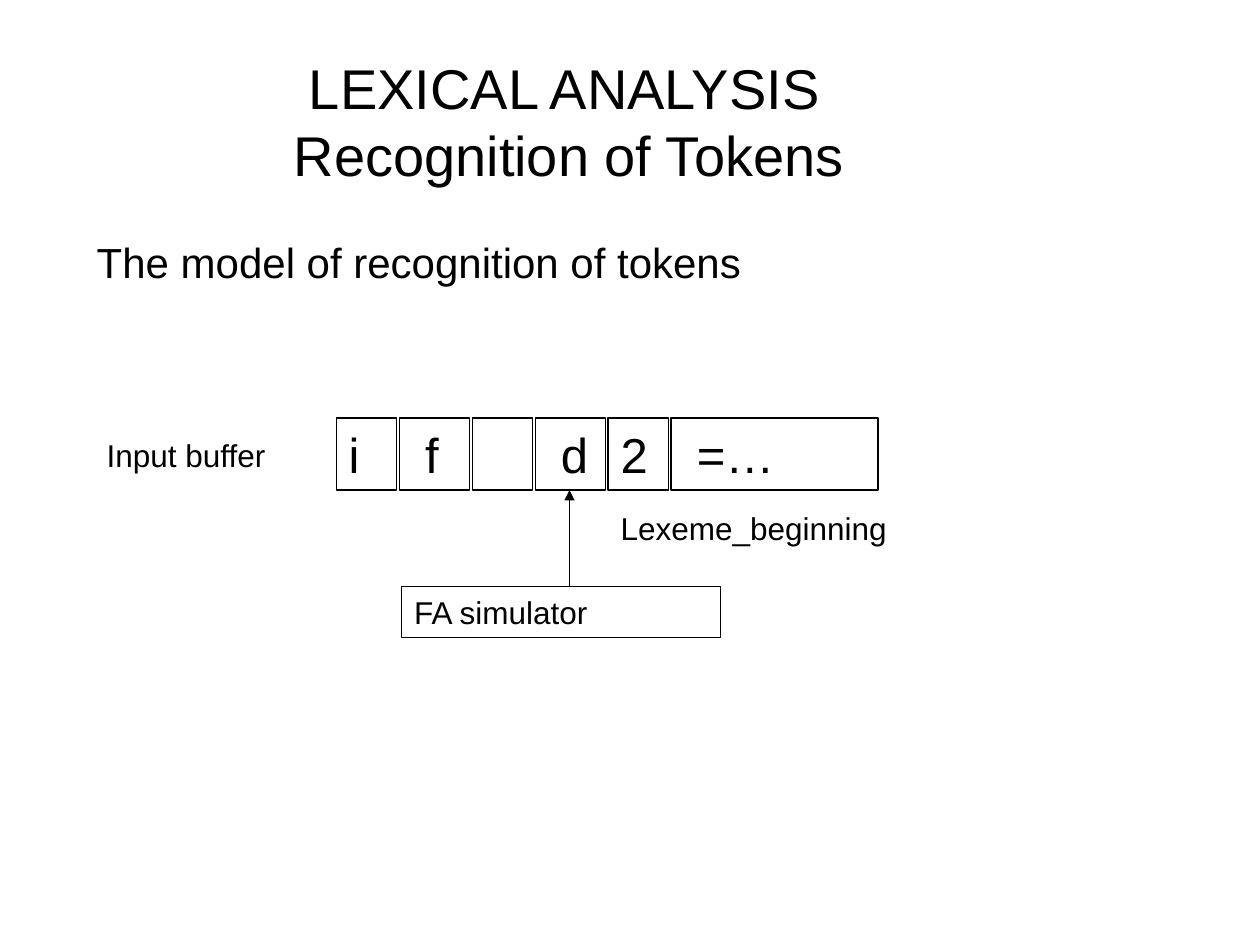
from lxml import etree
from pptx import Presentation
from pptx.dml.color import RGBColor
from pptx.enum.shapes import MSO_CONNECTOR, MSO_SHAPE
from pptx.enum.text import MSO_ANCHOR, PP_ALIGN
from pptx.oxml.ns import qn
from pptx.util import Cm, Pt

RECTANGLE = MSO_SHAPE.RECTANGLE
STRAIGHT = MSO_CONNECTOR.STRAIGHT
TOP, MIDDLE = MSO_ANCHOR.TOP, MSO_ANCHOR.MIDDLE
LEFT = PP_ALIGN.LEFT

FONT = "Arial"
COLORS = {"ink": "000000", "paper": "FFFFFF"}
INK = RGBColor.from_string(COLORS["ink"])
LINE_WIDTH = Pt(0.75)

# Text, width and first-line indent of each buffer cell, in cm
CELLS = [
    ("i", 1.22, 0),
    ("f", 1.42, 0.27),
    ("", 1.22, 0),
    ("d", 1.42, 0.27),
    ("2", 1.22, 0),
    ("=…", 4.17, 0.27),
]
CELL_GAP = 0.05
CELL_HEIGHT = 1.45
LABEL_HEIGHT = 1.02


def write(box, text, size, margin=0, indent=0, anchor=TOP):
    frame = box.text_frame
    frame.word_wrap = True
    frame.vertical_anchor = anchor
    para = frame.paragraphs[0]
    para.text = text
    para.alignment = LEFT
    properties = para._p.get_or_add_pPr()
    properties.set("marL", str(Cm(margin)))
    properties.set("indent", str(Cm(indent)))
    para.font.name = FONT
    para.font.size = Pt(size)
    para.font.color.rgb = INK


def add_label(page, left, top, width, height, text, size, **layout):
    box = page.shapes.add_textbox(Cm(left), Cm(top), Cm(width), Cm(height))
    write(box, text, size, **layout)


def add_frame(page, left, top, width, height, text, size, indent=0):
    """Add an outlined, unfilled rectangle with optional text."""
    box = page.shapes.add_shape(RECTANGLE, Cm(left), Cm(top), Cm(width), Cm(height))
    box.shadow.inherit = False
    box.fill.background()
    box.line.color.rgb = INK
    box.line.width = LINE_WIDTH
    if text:
        write(box, text, size, indent=indent)


def add_up_arrow(page, x, bottom, top):
    arrow = page.shapes.add_connector(STRAIGHT, Cm(x), Cm(bottom), Cm(x), Cm(top))
    arrow.line.color.rgb = INK
    arrow.line.width = LINE_WIDTH
    etree.SubElement(arrow.line._get_or_add_ln(), qn("a:tailEnd"), type="triangle")
    etree.SubElement(arrow._element.spPr, qn("a:effectLst"))


def add_heading(page, left, top, width, height):
    add_label(page, left, top, width, height,
              "LEXICAL ANALYSIS\vRecognition of Tokens", 32,
              margin=3.77, indent=0.31, anchor=MIDDLE)


def add_buffer(page, left, top):
    for text, width, indent in CELLS:
        add_frame(page, left, top, width, CELL_HEIGHT, text, 28, indent)
        left += width + CELL_GAP


def add_model(page, left, top):
    """Draw the input buffer with the simulator pointing at it."""
    simulator_top = top + 3.4
    add_buffer(page, left + 4.88, top)
    add_up_arrow(page, left + 9.58, simulator_top, top + CELL_HEIGHT)
    add_frame(page, left + 6.2, simulator_top, 6.43, LABEL_HEIGHT, "FA simulator", 18)
    add_label(page, left, top + 0.23, 5.66, LABEL_HEIGHT, "Input buffer", 18)
    add_label(page, left + 10.36, top + 1.7, 8.84, LABEL_HEIGHT,
              "Lexeme_beginning", 18)


def main():
    deck = Presentation()
    deck.slide_width, deck.slide_height = Cm(25.4), Cm(19.05)
    page = deck.slides.add_slide(deck.slide_layouts[6])
    page.background.fill.solid()
    page.background.fill.fore_color.rgb = RGBColor.from_string(COLORS["paper"])
    add_heading(page, 1.9, 0.43, 21.6, 4.01)
    add_label(page, 1.7, 4.65, 19.9, 1.27, "The model of recognition of tokens", 24)
    add_model(page, 1.9, 8.43)
    deck.save("out.pptx")


if __name__ == "__main__":
    main()
